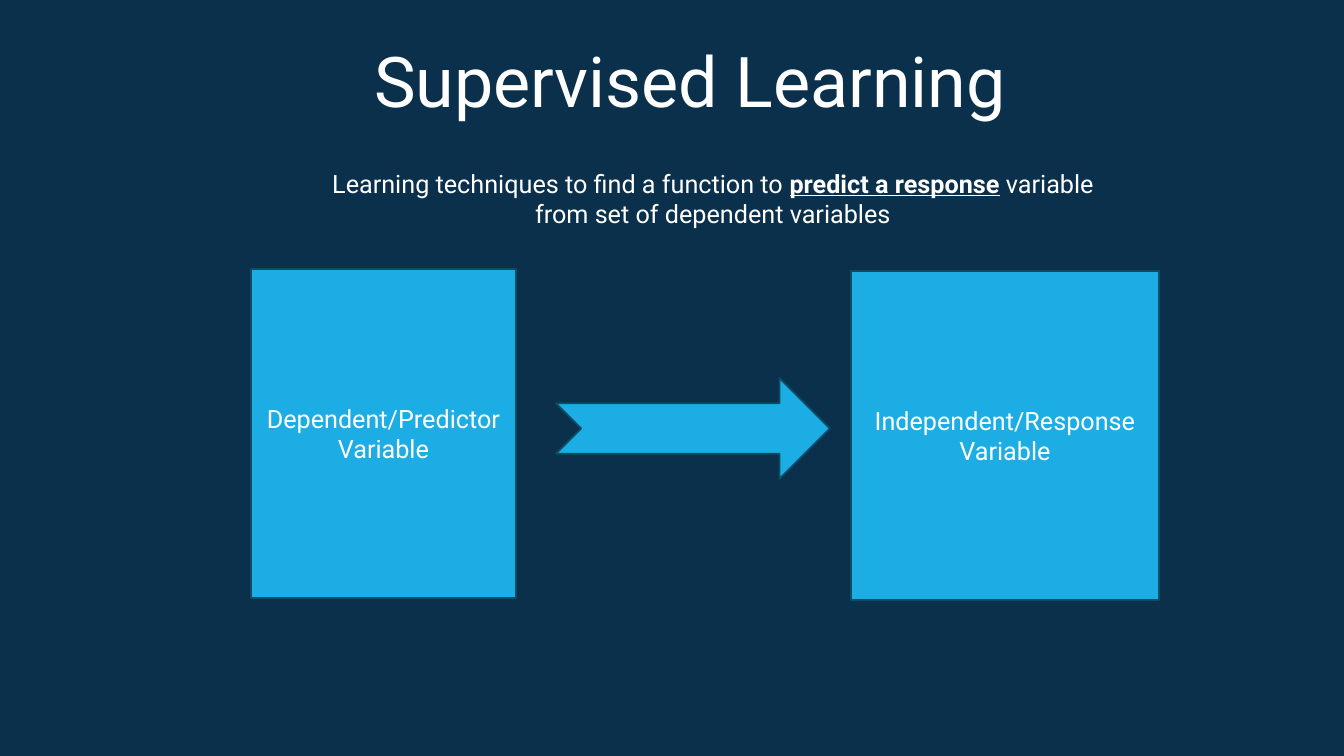
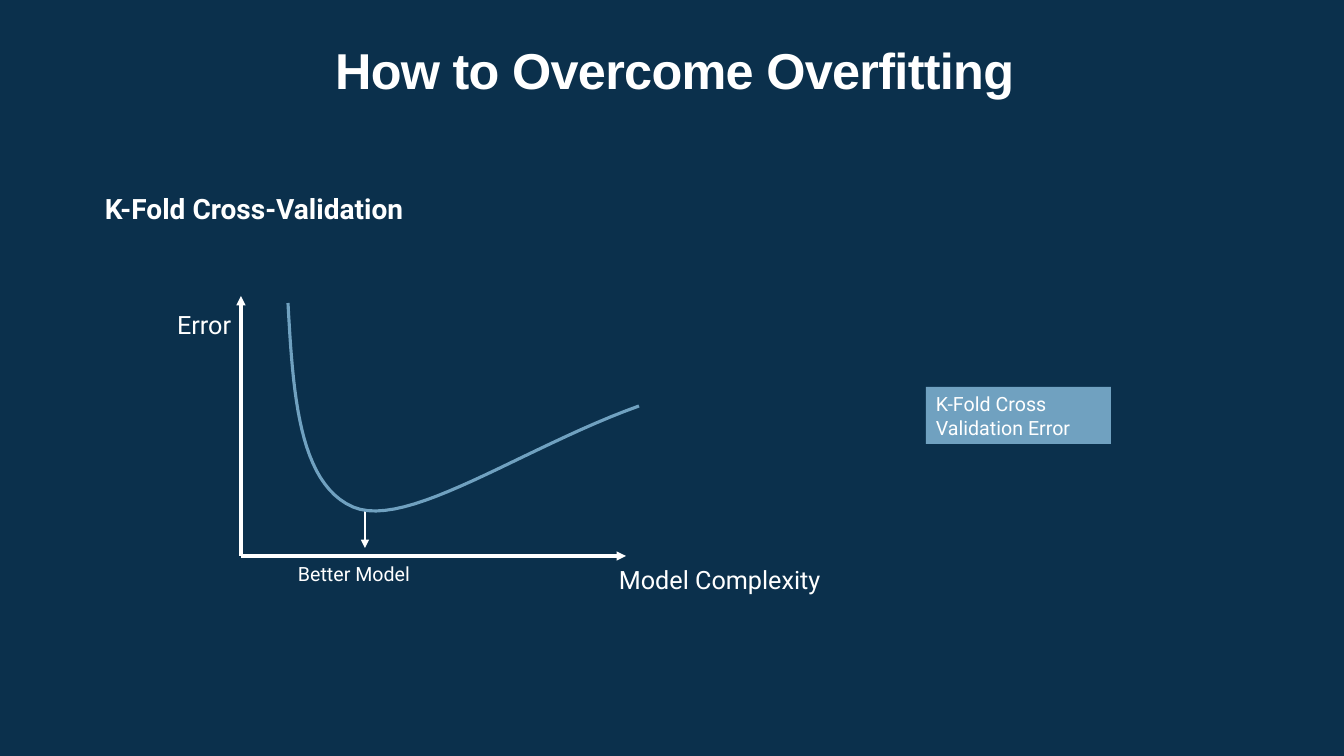
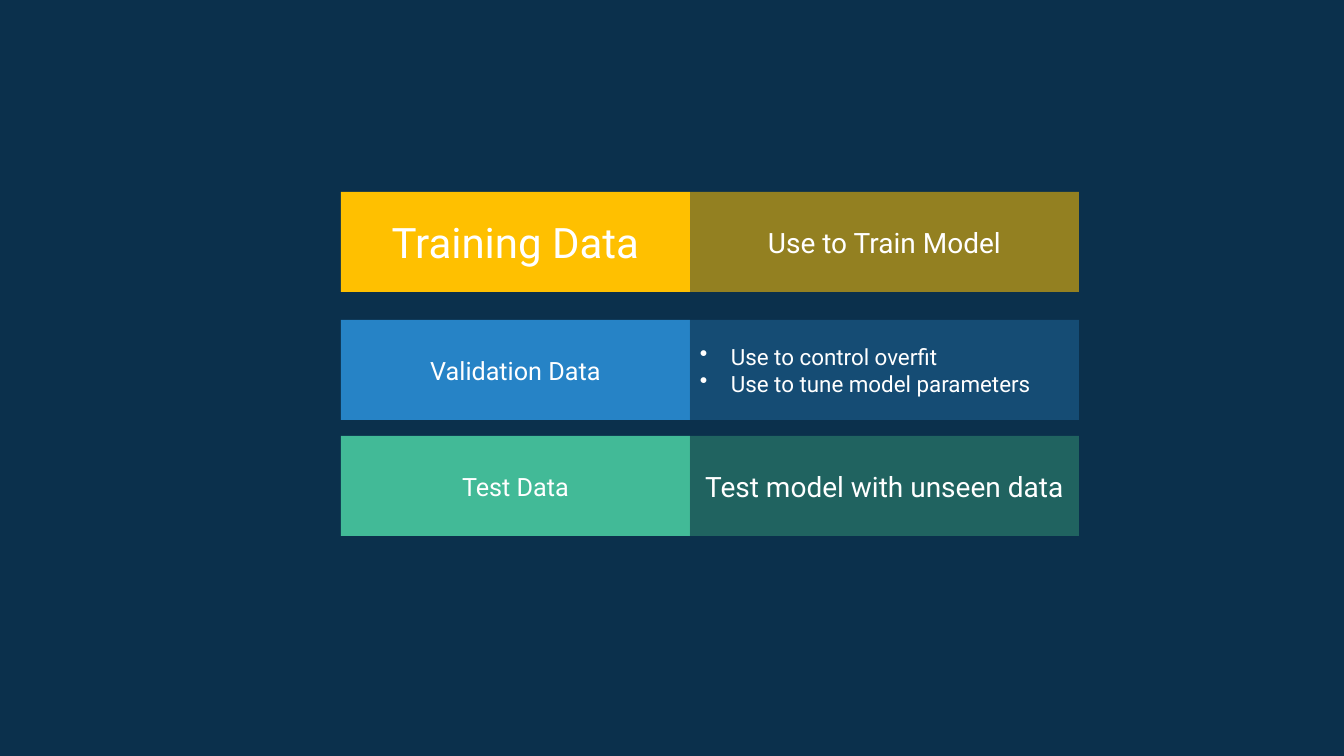
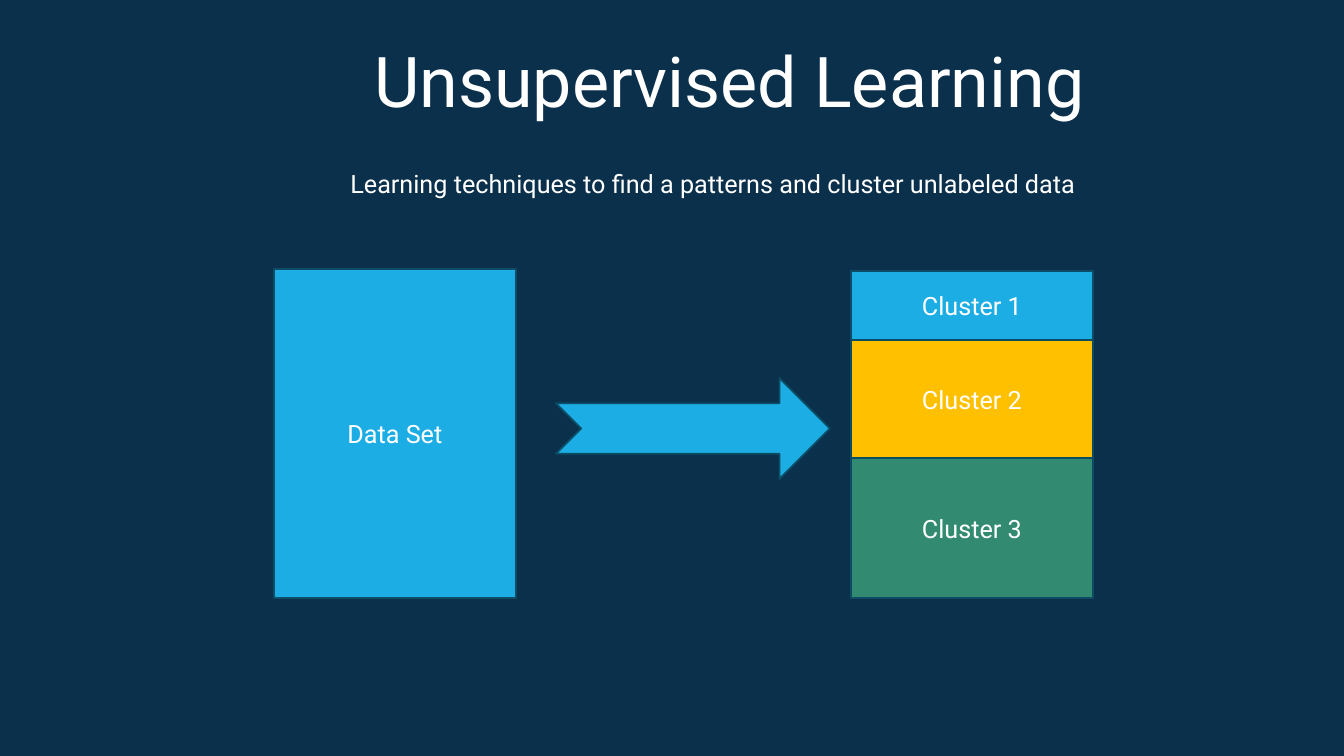
from lxml import etree
from pptx import Presentation
from pptx import util as u
from pptx.dml.color import RGBColor
from pptx.enum import shapes, text
from pptx.oxml.ns import qn

EMU_PER_PX = 914400 / 100.8
TITLE_ONLY, BLANK = 5, 6
WHITE, NAVY, OUTLINE = "FFFFFF", "0B304C", "0C4C64"
CYAN, AMBER, GREEN, STEEL = "1CADE4", "FFC000", "328B71", "70A1C0"
LEFT, CENTER, RIGHT = text.PP_ALIGN.LEFT, text.PP_ALIGN.CENTER, text.PP_ALIGN.RIGHT
TOP, MIDDLE = text.MSO_ANCHOR.TOP, text.MSO_ANCHOR.MIDDLE
RECTANGLE = shapes.MSO_SHAPE.RECTANGLE


def px(length):
    return u.Emu(round(length * EMU_PER_PX))


def color(value):
    return RGBColor.from_string(value)


def cubic(start, control_1, control_2, end, steps=24):
    """Points of a Bezier curve after its start."""
    points = []
    for step in range(1, steps + 1):
        t = step / steps
        weights = ((1 - t) ** 3, 3 * t * (1 - t) ** 2, 3 * t * t * (1 - t), t ** 3)
        corners = (start, control_1, control_2, end)
        points.append(tuple(sum(w * corner[axis] for w, corner in zip(weights, corners))
                            for axis in (0, 1)))
    return points


class Deck:
    """Holds the shared style and the slide being built."""

    def __init__(self):
        self.presentation = Presentation()
        self.presentation.slide_width = px(1344)
        self.presentation.slide_height = px(756)
        background = self.presentation.slide_master.background.fill
        background.solid()
        background.fore_color.rgb = color(NAVY)
        self.slide = None

    def new_slide(self, layout=TITLE_ONLY):
        self.slide = self.presentation.slides.add_slide(
            self.presentation.slide_layouts[layout])

    def set_text(self, shape, words, size=18, align=LEFT, anchor=TOP, wrap=True,
                 bold=False, font="Roboto", spacing=None, emphasis="", bullets=False):
        """Fill a shape with one paragraph per line; emphasis is bold and underlined."""
        frame = shape.text_frame
        frame.word_wrap = wrap
        frame.auto_size = text.MSO_AUTO_SIZE.NONE
        frame.vertical_anchor = anchor
        for index, line in enumerate(words.split("\n")):
            paragraph = frame.add_paragraph() if index else frame.paragraphs[0]
            parts = line.partition(emphasis) if emphasis else (line,)
            for part in parts:
                run = paragraph.add_run()
                run.text = part
                if part == emphasis:
                    run.font.bold = run.font.underline = True
            paragraph.alignment = align
            if spacing:
                paragraph.line_spacing = spacing
            if bullets:
                properties = paragraph._p.get_or_add_pPr()
                properties.set("marL", str(px(31)))
                properties.set("indent", str(-px(31)))
                etree.SubElement(properties, qn("a:buChar")).set("char", "•")
            paragraph.font.name = font
            paragraph.font.size = u.Pt(size)
            paragraph.font.bold = bold
            paragraph.font.color.rgb = color(WHITE)

    def title(self, words, left, top, width, height, **style):
        title = self.slide.shapes.title
        title.left, title.top, title.width, title.height = map(
            px, (left, top, width, height))
        self.set_text(title, words, **style)
        return title

    def label(self, words, left, top, width, height, **style):
        box = self.slide.shapes.add_textbox(*map(px, (left, top, width, height)))
        self.set_text(box, words, **style)

    def block(self, words, left, top, width, height, fill=CYAN, outline=None,
              opacity=None, kind=RECTANGLE, align=CENTER, anchor=MIDDLE, **style):
        shape = self.slide.shapes.add_shape(kind, *map(px, (left, top, width, height)))
        shape.shadow.inherit = False
        shape.fill.solid()
        shape.fill.fore_color.rgb = color(fill)
        if opacity:
            fill_color = shape._element.spPr.find(".//" + qn("a:srgbClr"))
            etree.SubElement(fill_color, qn("a:alpha")).set("val", str(opacity * 1000))
        if outline:
            shape.line.color.rgb = color(outline)
            shape.line.width = u.Pt(1.25)
        else:
            shape.line.fill.background()
        if words:
            self.set_text(shape, words, align=align, anchor=anchor, **style)

    def arrow(self, start, end, width):
        connector = self.slide.shapes.add_connector(
            shapes.MSO_CONNECTOR.STRAIGHT, *map(px, (*start, *end)))
        connector.line.color.rgb = color(WHITE)
        connector.line.width = u.Pt(width)
        etree.SubElement(connector.get_or_add_ln(), qn("a:tailEnd")).set("type", "triangle")
        etree.SubElement(connector._element.spPr, qn("a:effectLst"))

    def curve(self, points, line, width):
        vertices = [(px(x), px(y)) for x, y in points]
        builder = self.slide.shapes.build_freeform(*vertices[0], scale=1.0)
        builder.add_line_segments(vertices[1:], close=False)
        shape = builder.convert_to_shape()
        shape.shadow.inherit = False
        shape.fill.background()
        shape.line.color.rgb = color(line)
        shape.line.width = u.Pt(width)

    def learning_slide(self, heading, heading_width, summary, emphasis=""):
        """Start a slide with a heading, a summary and the large notched arrow."""
        self.new_slide()
        self.title(heading, 364, 32, heading_width, 95, size=50, wrap=False)
        self.label(summary, 304, 163, 818, 72, align=CENTER, emphasis=emphasis)
        self.block("", 556, 378, 274, 101, outline=OUTLINE,
                   kind=shapes.MSO_SHAPE.NOTCHED_RIGHT_ARROW)


def supervised(deck):
    deck.learning_slide(
        "Supervised Learning", 658,
        "Learning techniques to find a function to predict a response variable "
        "from set of dependent variables", emphasis="predict a response")
    deck.block("Dependent/Predictor Variable", 251, 269, 265, 329, outline=OUTLINE)
    deck.block("Independent/Response\nVariable", 851, 271, 308, 329, outline=OUTLINE)


def overfitting(deck):
    deck.new_slide()
    title = deck.title("How to Overcome Overfitting", 145, 43, 1059, 124, size=36,
                       align=CENTER, bold=True, font="Arial", spacing=0.85)
    for run in title.text_frame.paragraphs[0].runs:
        run._r.get_or_add_rPr().set("spc", "-50")
    deck.label("K-Fold Cross-Validation", 95, 190, 793, 154, size=20, bold=True, spacing=0.9)

    origin = (241, 556)
    deck.arrow(origin, (626, 556), 2.25)
    deck.arrow(origin, (241, 296), 2.25)
    deck.label("Model Complexity", 609, 559, 224, 40, wrap=False)
    deck.label("Error", 145, 304, 96, 40, align=RIGHT)

    deck.block("K-Fold Cross Validation Error", 926, 387, 185, 57, fill=STEEL,
               size=14, align=LEFT, anchor=TOP)
    deck.arrow((365, 511), (365, 548), 1)
    deck.label("Better Model", 288, 557, 133, 34, size=14, wrap=False)
    start, bend, end = (288, 303), (353, 507), (639, 406)
    deck.curve([start, *cubic(start, (293, 391), (298, 483), bend),
                *cubic(bend, (407, 530), (522, 448), end)], STEEL, 2.25)


def data_sets(deck):
    deck.new_slide(BLANK)
    rows = (
        (192, "Training Data", 30, AMBER, "Use to Train Model", AMBER, {"size": 20}),
        (320, "Validation Data", 18, "2683C6",
         "Use to control overfit\nUse to tune model parameters", "1D6294",
         {"size": 16, "align": LEFT, "bullets": True}),
        (436, "Test Data", 18, "42BA97", "Test model with unseen data", GREEN, {"size": 20}),
    )
    for top, name, size, fill, purpose, purpose_fill, style in rows:
        deck.block(name, 341, top, 349, 100, fill=fill, size=size)
        deck.block(purpose, 690, top, 389, 100, fill=purpose_fill, opacity=56, **style)


def unsupervised(deck):
    deck.learning_slide("Unsupervised Learning", 738,
                        "Learning techniques to find a patterns and cluster unlabeled data")
    deck.block("Data Set", 274, 269, 242, 329, outline=OUTLINE)
    top = 271
    for number, (height, fill) in enumerate(((69, CYAN), (118, AMBER), (140, GREEN)), 1):
        deck.block(f"Cluster {number}", 851, top, 242, height, fill=fill, outline=OUTLINE)
        top += height


def main():
    deck = Deck()
    for build in (supervised, overfitting, data_sets, unsupervised):
        build(deck)
    deck.presentation.save("out.pptx")


if __name__ == "__main__":
    main()
